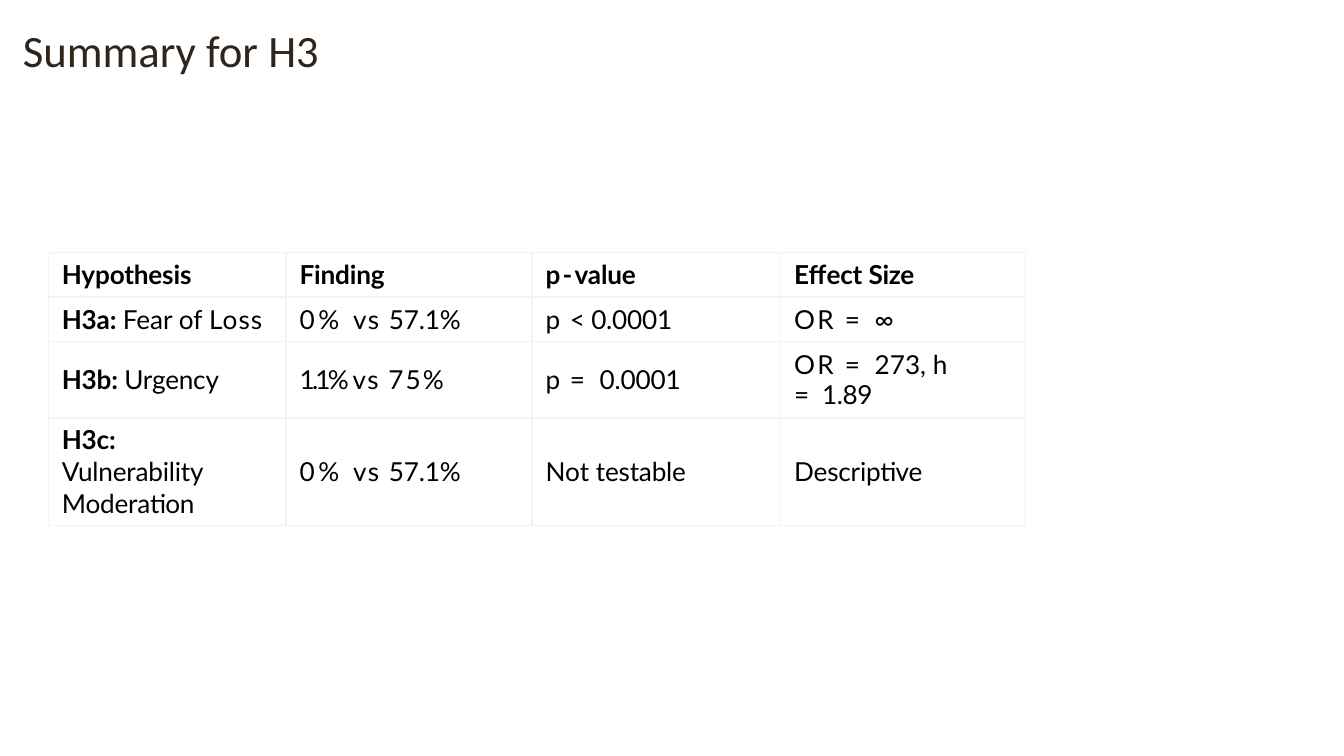
from lxml import etree
from pptx import Presentation
from pptx import util as u
from pptx.dml.color import RGBColor
from pptx.enum import text
from pptx.oxml import ns

COLOURS = {"title": "2F251C", "body": "000000", "border": "F3F3F3"}
FORMATS = {
    "title": {"name": "Calibri", "size": u.Pt(24), "bold": False},
    "body": {"name": "Lato", "size": u.Pt(14), "bold": False},
    "strong": {"name": "Lato", "size": u.Pt(14), "bold": True},
}
COLUMN_WIDTHS = [1.77, 1.83, 1.84, 1.83]
ROW_HEIGHTS = [0.33, 0.33, 0.57, 0.8]

# A cell is a list of paragraphs; a paragraph is a list of
# (words, letter spacing in points[, style]).
FINDING = [[("0% ", 1.9), ("vs ", 0.8), ("57.1%", -0.1)]]
ROWS = [
    [
        [[("Hypothesis", -0.1, "strong")]],
        [[("Finding", -0.1, "strong")]],
        [[("p-", 1.2, "strong"), ("value", -0.1, "strong")]],
        [[("Effect ", -0.1, "strong"), ("Size", -0.2, "strong")]],
    ],
    [
        [[("H3a: ", -0.1, "strong"), ("Fear of ", 0), ("Loss", 0.6)]],
        FINDING,
        [[("p ", 0.8), ("< ", -0.3), ("0.0001", -0.1)]],
        [[("OR ", 1.2), ("= ", 2.1), ("∞", 1.7)]],
    ],
    [
        [[("H3b: ", -0.1, "strong"), ("Urgency", -0.1)]],
        [[("1.1% ", -1.5), ("vs ", 0.8), ("75%", 1.1)]],
        [[("p ", 0.8), ("= ", 2.1), ("0.0001", -0.1)]],
        [[("OR ", 1.2), ("= ", 2.1), ("273, h ", 0), ("= ", 1.6), ("1.89", -0.2)]],
    ],
    [
        [[("H3c:", -0.1, "strong")], [("Vulnerability Moderation", -0.1)]],
        FINDING,
        [[("Not ", 0), ("testable", -0.1)]],
        [[("Descriptive", -0.1)]],
    ],
]
# Exact line spacing in points for each paragraph of the wrapped cells.
LINE_SPACING = {(2, 3): [16.5], (3, 0): [16.6, 17.3]}


class SlideWriter:
    def __init__(self, page):
        self.page = page

    def spans(self, para, runs, style):
        for words, spacing, *own_style in runs:
            name = own_style[0] if own_style else style
            span = para.add_run()
            span.text = words
            for key, value in FORMATS[name].items():
                setattr(span.font, key, value)
            colour = COLOURS["title" if name == "title" else "body"]
            span.font.color.rgb = RGBColor.from_string(colour)
            if spacing:
                span._r.get_or_add_rPr().set("spc", str(round(spacing * 100)))

    def title(self, left, top, width, height, runs):
        box = self.page.shapes.add_textbox(*map(u.Inches, (left, top, width, height)))
        frame = box.text_frame
        margins = {"margin_left": 0.02, "margin_top": 0.01, "margin_right": 0, "margin_bottom": 0}
        for key, value in margins.items():
            setattr(frame, key, u.Inches(value))
        frame.word_wrap = True
        self.spans(frame.paragraphs[0], runs, "title")

    def borders(self, cell):
        properties = cell._tc.get_or_add_tcPr()
        for position, side in enumerate(("lnL", "lnR", "lnT", "lnB")):
            line = etree.Element(ns.qn(f"a:{side}"), w=str(u.Pt(1)))
            fill = etree.SubElement(line, ns.qn("a:solidFill"))
            etree.SubElement(fill, ns.qn("a:srgbClr"), val=COLOURS["border"])
            properties.insert(position, line)

    def cell(self, cell, paragraphs, side_margins, line_spacing):
        left, right = side_margins
        margins = {"margin_left": left, "margin_top": 0, "margin_right": right, "margin_bottom": 0}
        for key, value in margins.items():
            setattr(cell, key, u.Inches(value))
        cell.vertical_anchor = text.MSO_ANCHOR.MIDDLE
        cell.fill.background()
        self.borders(cell)
        for index, runs in enumerate(paragraphs):
            frame = cell.text_frame
            para = frame.add_paragraph() if index else frame.paragraphs[0]
            if line_spacing:
                para.line_spacing = u.Pt(line_spacing[index])
            self.spans(para, runs, "body")

    def table(self, left, top, rows):
        size = (left, top, sum(COLUMN_WIDTHS), sum(ROW_HEIGHTS))
        frame = self.page.shapes.add_table(len(rows), len(rows[0]), *map(u.Inches, size))
        table = frame.table
        table.first_row = table.horz_banding = False
        for column, width in zip(table.columns, COLUMN_WIDTHS):
            column.width = u.Inches(width)
        for r, (row, height) in enumerate(zip(rows, ROW_HEIGHTS)):
            table.rows[r].height = u.Inches(height)
            for c, paragraphs in enumerate(row):
                side_margins = (0.11, 0.5) if c == len(row) - 1 else (0.1, 0)
                self.cell(table.cell(r, c), paragraphs, side_margins, LINE_SPACING.get((r, c)))


def main():
    deck = Presentation()
    deck.slide_width = u.Inches(10)
    deck.slide_height = deck.slide_width * 9 // 16
    writer = SlideWriter(deck.slides.add_slide(deck.slide_layouts[6]))
    writer.title(0.15, 0.16, 6.78, 0.43, [("Summary for ", 0), ("H3", -0.2)])
    writer.table(0.36, 1.88, ROWS)
    deck.save("out.pptx")


if __name__ == "__main__":
    main()
